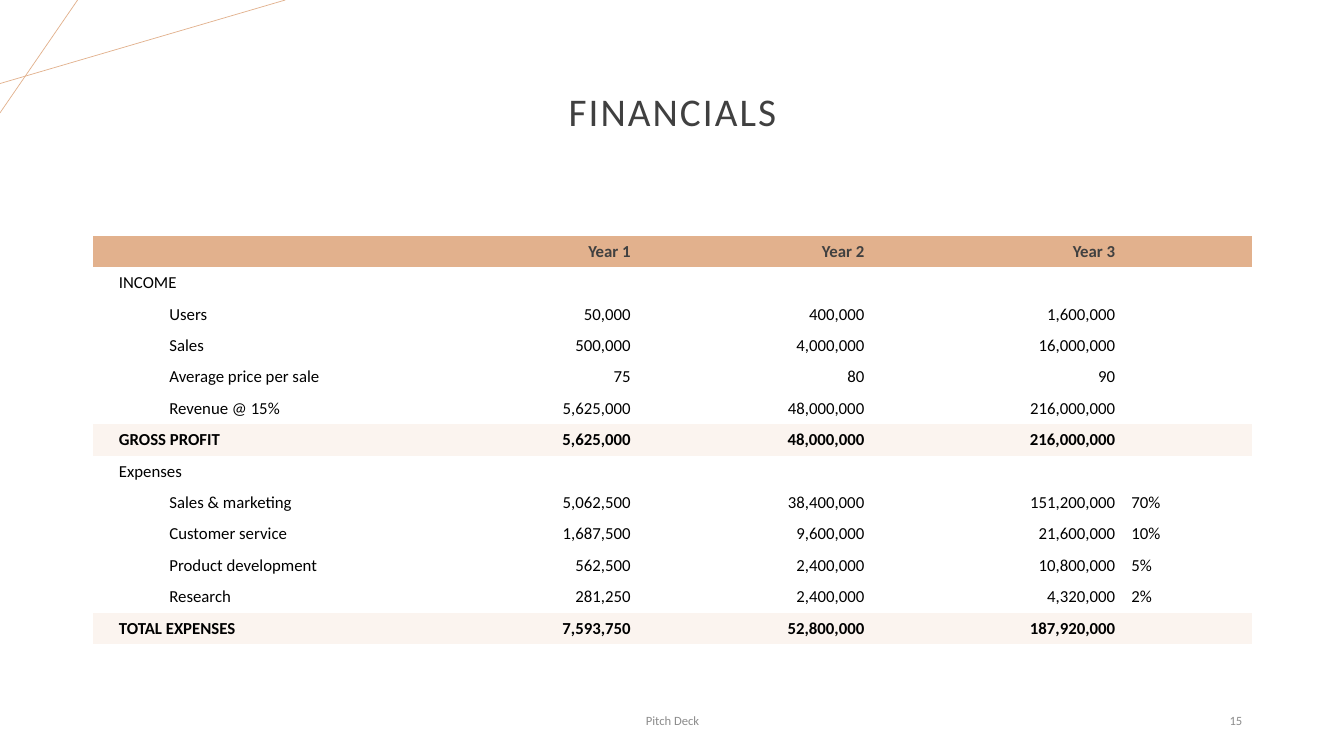
from lxml import etree
from pptx import Presentation, util as u
from pptx.dml.color import RGBColor
from pptx.enum import shapes, text
from pptx.oxml.ns import qn

W, H = 13.33, 7.5
LEFT, WIDE = 0.92, 11.5
FONT = "Calibri"
HUES = {"head": "E2B18D", "band": "FBF4EF", "title": "404040",
        "body": "000000", "foot": "8C8C8C"}
ALIGN = {"l": text.PP_ALIGN.LEFT, "c": text.PP_ALIGN.CENTER,
         "r": text.PP_ALIGN.RIGHT}
PLAIN = "{2D5ABB26-0587-4C30-8999-92F81FD0307C}"  # table style without grid

# Kind of row, then its cells
ROWS = [
    ("head", "", "Year 1", "Year 2", "Year 3", ""),
    ("group", "INCOME", "", "", "", ""),
    ("item", "Users", "50,000", "400,000", "1,600,000", ""),
    ("item", "Sales", "500,000", "4,000,000", "16,000,000", ""),
    ("item", "Average price per sale", "75", "80", "90", ""),
    ("item", "Revenue @ 15%", "5,625,000", "48,000,000", "216,000,000", ""),
    ("band", "GROSS PROFIT", "5,625,000", "48,000,000", "216,000,000", ""),
    ("group", "Expenses", "", "", "", ""),
    ("item", "Sales & marketing", "5,062,500", "38,400,000", "151,200,000", "70%"),
    ("item", "Customer service", "1,687,500", "9,600,000", "21,600,000", "10%"),
    ("item", "Product development", "562,500", "2,400,000", "10,800,000", "5%"),
    ("item", "Research", "281,250", "2,400,000", "4,320,000", "2%"),
    ("band", "TOTAL EXPENSES", "7,593,750", "52,800,000", "187,920,000", ""),
]
COLS = [3.54, 1.88, 2.32, 2.49, 1.28]


def rgb(name):
    return RGBColor.from_string(HUES[name])


def write(frame, words, size=12, hue="body", bold=False, align="l",
          indent=0, space=0, line=None):
    para = frame.paragraphs[0]
    para.alignment = ALIGN[align]
    if line:
        para.line_spacing = line
    if indent:
        props = para._p.get_or_add_pPr()
        props.set("marL", str(u.Inches(indent)))
        props.set("indent", "0")
        para.level = 1
    if not words:  # keeps an empty cell as low as a filled one
        etree.SubElement(para._p, qn("a:endParaRPr"), sz=str(size * 100))
        return
    run = para.add_run()
    run.text = words
    font = run.font
    font.name, font.size, font.bold = FONT, u.Pt(size), bold
    font.color.rgb = rgb(hue)
    if space:
        run._r.get_or_add_rPr().set("spc", str(int(space * 100)))


def label(slide, box, words, **form):
    frame = slide.shapes.add_textbox(*map(u.Inches, box)).text_frame
    frame.word_wrap = True
    frame.vertical_anchor = text.MSO_ANCHOR.MIDDLE
    write(frame, words, **form)


def corner(slide, box):
    """Two thin lines that cross in the corner."""
    x, y, w, h = box
    ends = [(x, y + 0.74 * h, x + w, y),
            (x + 0.272 * w, y, x, y + h)]
    for pts in ends:
        line = slide.shapes.add_connector(
            shapes.MSO_CONNECTOR.STRAIGHT, *map(u.Inches, pts))
        line.line.color.rgb = rgb("head")
        line.line.width = u.Pt(0.5)
        etree.SubElement(line._element.spPr, qn("a:effectLst"))


def sheet(slide, box):
    """Table of income and expenses."""
    grid = slide.shapes.add_table(
        len(ROWS), len(COLS), *map(u.Inches, box)).table
    grid.first_row = grid.horz_banding = False
    grid._tbl.tblPr.find(qn("a:tableStyleId")).text = PLAIN
    for col, share in zip(grid.columns, COLS):
        col.width = u.Inches(box[2] * share / sum(COLS))
    for r, (kind, *words) in enumerate(ROWS):
        grid.rows[r].height = u.Inches(box[3] / len(ROWS))
        for c, word in enumerate(words):
            cell = grid.cell(r, c)
            if kind in ("head", "band"):
                cell.fill.solid()
                cell.fill.fore_color.rgb = rgb(kind)
            else:
                cell.fill.background()
            cell.vertical_anchor = text.MSO_ANCHOR.MIDDLE
            cell.margin_left = u.Inches(0.08 if c else 0.26)
            cell.margin_right = u.Inches(0.08)
            cell.margin_top = cell.margin_bottom = u.Inches(0.04)
            write(cell.text_frame, word,
                  hue="title" if kind == "head" else "body",
                  bold=kind in ("head", "band"),
                  align="r" if 0 < c < 4 else "l",
                  indent=0.5 if kind == "item" and c == 0 else 0)


def footer(slide, box):
    """Deck name in the middle, page number at the right."""
    x, y, w, h = box
    mid, side = 4.5, 3
    label(slide, (x + (w - mid) / 2, y, mid, h), "Pitch Deck",
          size=9, hue="foot", align="c")
    label(slide, (x + w - side, y, side, h), "15",
          size=9, hue="foot", align="r")


def main():
    deck = Presentation()
    deck.slide_width, deck.slide_height = u.Inches(W), u.Inches(H)
    slide = deck.slides.add_slide(deck.slide_layouts[6])
    corner(slide, (0, 0, 2.83, 1.12))
    label(slide, (LEFT, 0.4, WIDE, 1.45), "FINANCIALS", size=28,
          hue="title", align="c", space=1.5, line=0.9)
    sheet(slide, (LEFT, 2.34, WIDE, 4.05))
    footer(slide, (LEFT, 6.95, WIDE, 0.4))
    deck.save("out.pptx")


if __name__ == "__main__":
    main()
